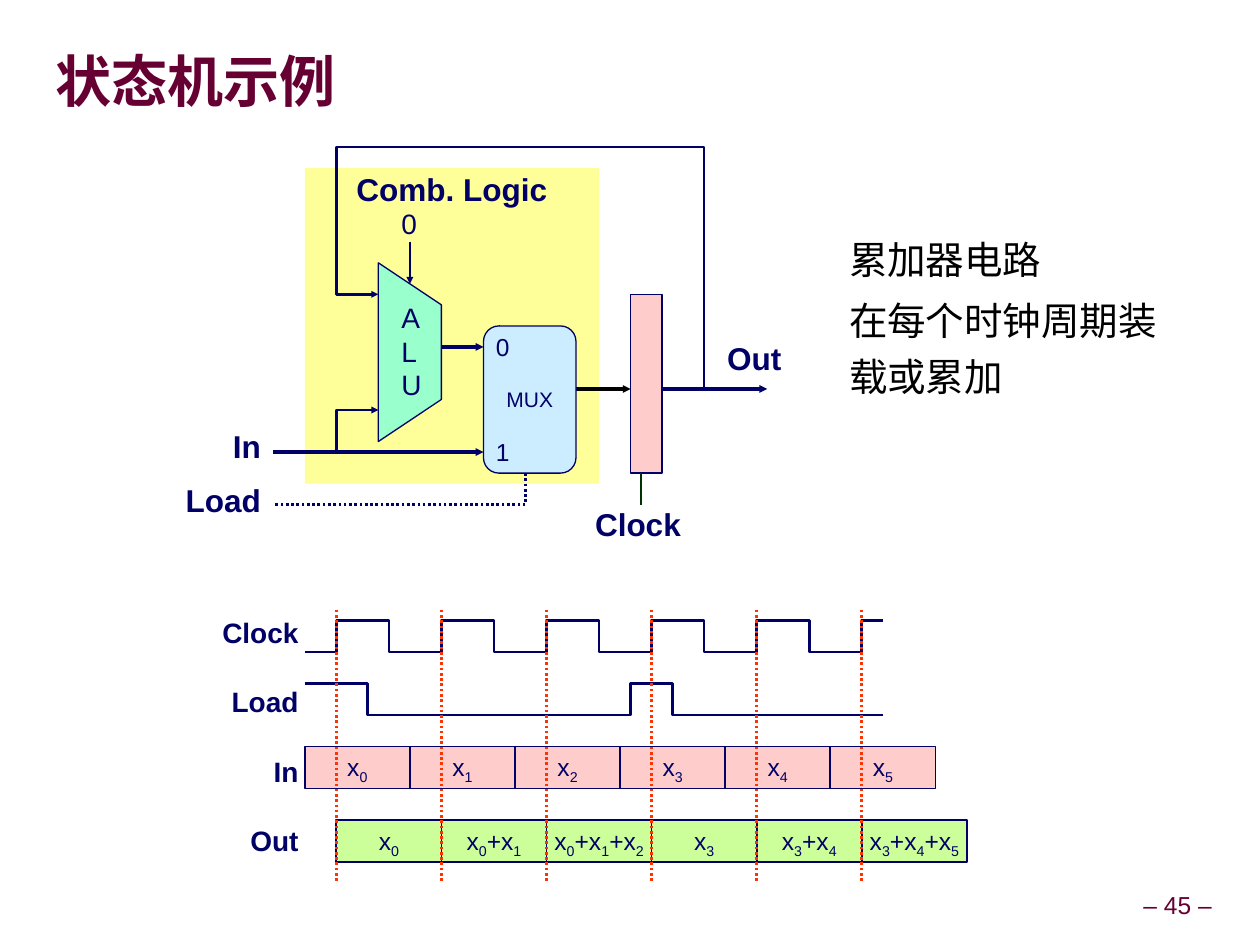
from dataclasses import dataclass
from itertools import groupby

from lxml import etree
from pptx import Presentation, util as u
from pptx.dml.color import RGBColor
from pptx.enum import dml, shapes, text
from pptx.oxml.ns import qn

GRID = u.Inches(1) // 12  # every part sits on a grid of twelve to the inch
PERIOD = 10               # one clock cycle, in grid columns
CYCLES = 6
COLORS = {"title": "660033", "body": "000000", "ink": "000066", "logic": "FFFF99",
          "alu": "99FFCC", "mux": "CCECFF", "pink": "FFCCCC", "green": "CCFF99",
          "clock": "003300", "edge": "FF3300"}
LEFT, CENTER, RIGHT = text.PP_ALIGN.LEFT, text.PP_ALIGN.CENTER, text.PP_ALIGN.RIGHT
TOP, MIDDLE = text.MSO_ANCHOR.TOP, text.MSO_ANCHOR.MIDDLE
TIGHT = (0.05, 0.05)
CJK = "Noto Sans CJK SC"


def rgb(name):
    return RGBColor.from_string(COLORS[name])


def style_line(sp, color, width, arrow=False, dotted=False):
    sp.line.color.rgb = rgb(color)
    sp.line.width = u.Pt(width)
    if dotted:
        sp.line.dash_style = dml.MSO_LINE.ROUND_DOT
    if arrow:
        etree.SubElement(sp.line._get_or_add_ln(), qn("a:tailEnd"),
                         type="triangle", w="sm", len="sm")


def style_fill(sp, fill):
    sp.shadow.inherit = False
    if fill:
        sp.fill.solid()
        sp.fill.fore_color.rgb = rgb(fill)
    else:
        sp.fill.background()


def write(sp, content, size, align=LEFT, bold=False, color="ink", font="Arial",
          anchor=TOP, inset=(0.1, 0.05), wrap=False, spacing=1.0):
    """Put text in a shape; inset is (sides, top and bottom) in inches."""
    tf = sp.text_frame
    tf.text = content
    tf.word_wrap, tf.vertical_anchor = wrap, anchor
    tf.margin_left = tf.margin_right = u.Inches(inset[0])
    tf.margin_top = tf.margin_bottom = u.Inches(inset[1])
    for p in tf.paragraphs:
        p.alignment, p.line_spacing = align, spacing
        for r in p.runs:
            r.font.name, r.font.size, r.font.bold = font, u.Pt(size), bold
            r.font.color.rgb = rgb(color)
            if font == CJK:
                etree.SubElement(r.font._element, qn("a:ea"), typeface=font)
    return tf


@dataclass
class Region:
    """An area of the slide whose parts are placed in grid units from its corner."""
    s: object
    left: float
    top: float

    def place(self, x, y, w, h):
        return [round(n * GRID) for n in (self.left + x, self.top + y, w, h)]

    def label(self, box, content, size, **style):
        return write(self.s.shapes.add_textbox(*self.place(*box)), content, size, **style)

    def block(self, box, fill, line=None, kind=shapes.MSO_SHAPE.RECTANGLE):
        sp = self.s.shapes.add_shape(kind, *self.place(*box))
        style_fill(sp, fill)
        if line:
            style_line(sp, "ink", line)
        else:
            sp.line.fill.background()
        return sp

    def wire(self, start, end, width, color="ink", **style):
        x1, y1, _, _ = self.place(*start, 0, 0)
        x2, y2, _, _ = self.place(*end, 0, 0)
        sp = self.s.shapes.add_connector(shapes.MSO_CONNECTOR.STRAIGHT, x1, y1, x2, y2)
        style_line(sp, color, width, **style)
        etree.SubElement(sp._element.spPr, qn("a:effectLst"))

    def outline(self, points, fill=None, width=1.5, **style):
        points = [(self.left + x, self.top + y) for x, y in points]
        builder = self.s.shapes.build_freeform(*points[0], scale=GRID)
        builder.add_line_segments(points[1:], close=fill is not None)
        sp = builder.convert_to_shape()
        style_fill(sp, fill)
        style_line(sp, "ink", width, **style)


def headings(page):
    page.label((5.3, 3.2, 111.6, 9.7), "状态机示例", 32, bold=True, color="title",
               font=CJK, anchor=MIDDLE, inset=(0, 0), wrap=True, spacing=0.87)
    tf = page.label((79.6, 21, 33.2, 21), "累加器电路\n在每个时钟周期装载或累加", 22,
                    color="body", font=CJK, wrap=True, spacing=1.2)
    tf.paragraphs[1].space_before = u.Pt(3)
    page.label((108.1, 84.4, 7.9, 3.7), "– 45 –", 14, align=CENTER, color="title",
               anchor=MIDDLE, inset=TIGHT, spacing=0.9)


def circuit(area):
    logic = area.block((13, 2, 28, 30), "logic")
    write(logic, "Comb. Logic", 18, align=CENTER, bold=True, inset=TIGHT, spacing=0.9)

    area.wire((47, 23), (57, 23), 2.25, arrow=True)
    area.wire((23, 9), (23, 13), 0.75, arrow=True)
    area.outline([(20, 11), (26, 15), (26, 24), (20, 28)], "alu", 0.75)
    area.label((21, 14, 5, 10.8), "A\nL\nU", 16, wrap=True)
    area.label((21, 5, 3.8, 4.4), "0", 16)
    area.wire((10, 29), (30, 29), 2.25, arrow=True)
    area.wire((26, 19), (30, 19), 2.25, arrow=True)
    area.wire((38, 23), (44, 23), 2.25, "body", arrow=True)
    area.outline([(34, 31), (34, 34), (10, 34)], dotted=True)

    mux = area.block((30, 17, 8.8, 14), "mux", 0.75, shapes.MSO_SHAPE.ROUNDED_RECTANGLE)
    write(mux, "MUX", 12, align=CENTER, anchor=MIDDLE)
    for y, choice in ((17, "0"), (27, "1")):
        area.label((30, y, 6, 4), choice, 14, wrap=True)

    area.block((44, 14, 3, 17), "pink", 0.75)
    area.wire((45, 31), (45, 34), 1.5, "clock")
    area.outline([(16, 29), (16, 25), (20, 25)], arrow=True)
    area.outline([(47, 23), (51, 23), (51, 0), (16, 0), (16, 14), (20, 14)], arrow=True)

    area.label((52, 17.7, 7.6, 4.8), "Out", 18, bold=True)
    area.label((40, 33.8, 9.4, 4.4), "Clock", 18, align=CENTER, bold=True,
               inset=TIGHT, spacing=0.9)
    for y, signal in ((26, "In"), (31.2, "Load")):
        area.label((0, y, 10, 4.8), signal, 18, align=RIGHT, bold=True, wrap=True)


def value_row(area, x, y, fill, values):
    """Draw one cell per cycle, with the digits of each value as subscripts."""
    for i, value in enumerate(values):
        sp = area.block((x + i * PERIOD, y, PERIOD, 4), fill, 1)
        p = write(sp, "", 14, align=CENTER, anchor=MIDDLE, inset=TIGHT,
                  spacing=0.9).paragraphs[0]
        for is_index, chars in groupby(value, str.isdigit):
            r = p.add_run()
            r.text = "".join(chars)
            r.font.name, r.font.size = "Arial", u.Pt(14)
            r.font.color.rgb = rgb("ink")
            if is_index:
                r.font._element.set("baseline", "-25000")


def timing(area):
    start, edge = 11, 14
    pulse = [(0, 4), (3, 4), (3, 1), (8, 1), (8, 4), (13, 4), (13, 1), (15, 1)]
    for i in range(CYCLES - 1):
        area.outline([(start + i * PERIOD + x, y) for x, y in pulse])
    area.outline([(start, 7), (17, 7), (17, 10), (42, 10),
                  (42, 7), (46, 7), (46, 10), (66, 10)])

    value_row(area, start, 13, "pink", [f"x{i}" for i in range(CYCLES)])
    value_row(area, edge, 20, "green",
              ["x0", "x0+x1", "x0+x1+x2", "x3", "x3+x4", "x3+x4+x5"])

    for i, signal in enumerate(("Clock", "Load", "In", "Out")):
        area.label((0, 0.3 + 6.6 * i, 11, 4.1), signal, 16, align=RIGHT, bold=True,
                   inset=TIGHT, wrap=True, spacing=0.9)
    for i in range(CYCLES):
        x = edge + i * PERIOD
        area.wire((x, 0), (x, 26), 1.5, "edge", dotted=True)


def main():
    prs = Presentation()
    prs.slide_width, prs.slide_height = u.Inches(9.99), u.Inches(7.49)
    s = prs.slides.add_slide(prs.slide_layouts[6])
    headings(Region(s, 0, 0))
    circuit(Region(s, 16, 14))
    timing(Region(s, 18, 58))
    prs.save("out.pptx")


if __name__ == "__main__":
    main()
